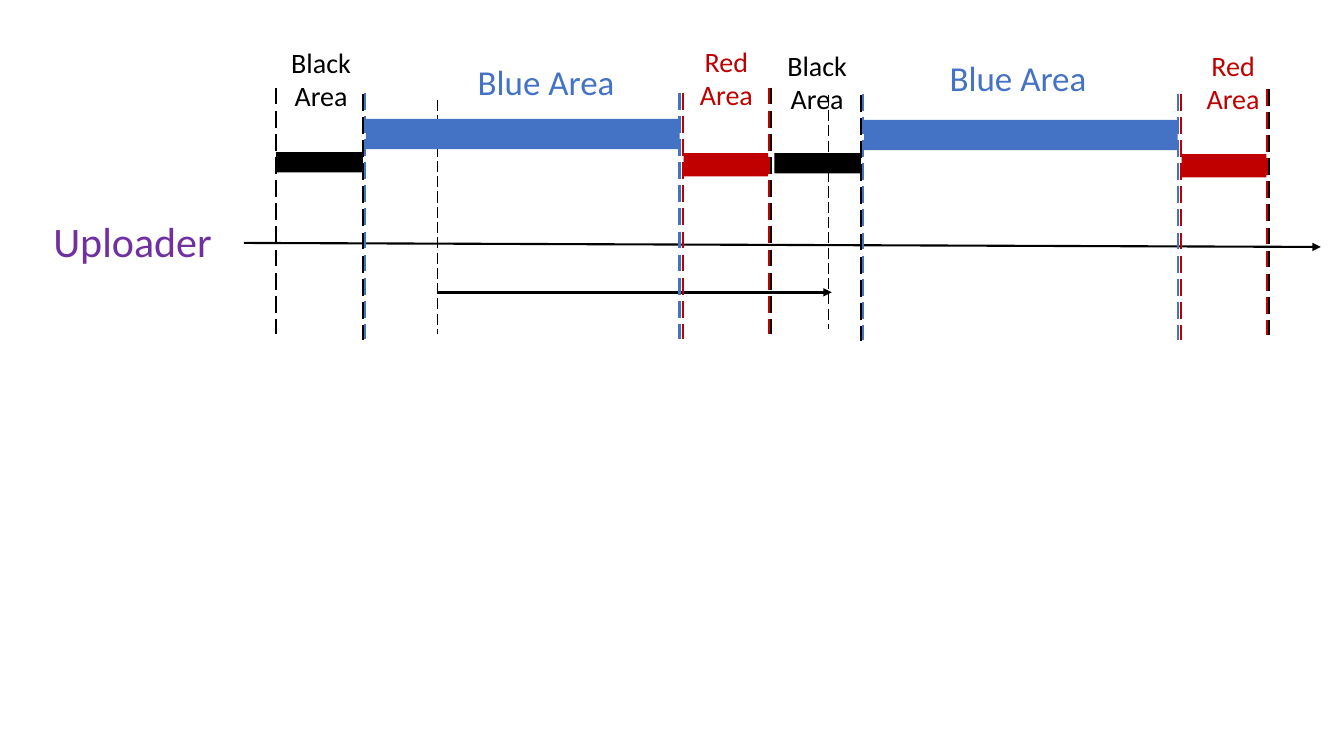
from pptx import Presentation
from pptx.dml.color import RGBColor as RGB
from pptx.enum.dml import MSO_LINE as Dash
from pptx.enum.shapes import MSO_CONNECTOR as Conn, MSO_SHAPE as Shape
from pptx.enum.text import PP_ALIGN as Align
from pptx.oxml.ns import qn
from pptx.util import Inches, Pt
from lxml.etree import SubElement as Sub

COLORS = {"black": "000000", "blue": "4472C4", "red": "C00000", "purple": "7030A0"}

deck = Presentation()
deck.slide_width, deck.slide_height = Inches(13.33), Inches(7.5)
slide = deck.slides.add_slide(deck.slide_layouts[6])
shapes = slide.shapes


def add_line(x1, y1, x2, y2, color="black", width=1.5, arrow=False):
    """Solid line with an arrowhead, or a dashed line without one."""
    line = shapes.add_connector(Conn.STRAIGHT, Inches(x1), Inches(y1), Inches(x2), Inches(y2))
    line.line.color.rgb = RGB.from_string(COLORS[color])
    line.line.width = Pt(width)
    if arrow:
        Sub(line.line._get_or_add_ln(), qn("a:tailEnd"), type="triangle")
    else:
        line.line.dash_style = Dash.LONG_DASH
    Sub(line._element.spPr, qn("a:effectLst"))


def add_label(text, x, y, w, h, size, color, align=Align.CENTER):
    box = shapes.add_textbox(Inches(x), Inches(y), Inches(w), Inches(h))
    box.text_frame.word_wrap = True
    para = box.text_frame.paragraphs[0]
    para.alignment = align
    run = para.add_run()
    run.text = text
    run.font.name = "Calibri"
    run.font.size = Pt(size)
    run.font.color.rgb = RGB.from_string(COLORS[color])


# Time axis and the span arrow below it
add_line(4.34, 2.9, 8.25, 2.9, width=2, arrow=True)
add_line(4.34, 0.99, 4.34, 3.31, width=1)
add_line(2.42, 2.41, 13.1, 2.45, arrow=True)

# Black lines where each cycle starts or ends
for x, y in [(2.74, 0.87), (7.65, 0.87), (12.59, 0.88)]:
    add_line(x, y, x, y + 2.44)

# Two cycles of area edges and bars
EDGES = [("blue", 3.62, 0.92), ("red", 6.77, 0.92), ("blue", 6.74, 0.92),
         ("red", 7.63, 0.87), ("black", 3.6, 0.93)]
BARS = [("black", 2.74, 1.51, 0.86, 0.2), ("blue", 3.63, 1.18, 3.11, 0.3),
        ("red", 6.78, 1.52, 0.84, 0.23)]
for dx, dy in [(0, 0), (4.94, 0.01)]:
    for color, x, y in EDGES:
        add_line(x + dx, y + dy, x + dx, y + dy + 2.44, color)
    for color, x, y, w, h in BARS:
        bar = shapes.add_shape(Shape.RECTANGLE, Inches(x + dx), Inches(y + dy),
                               Inches(w), Inches(h))
        bar.shadow.inherit = False
        bar.fill.solid()
        bar.fill.fore_color.rgb = RGB.from_string(COLORS[color])
        bar.line.fill.background()

# End of the span
add_line(8.22, 0.94, 8.22, 3.26, width=1)

# Labels
add_label("Uploader", 0.24, 2.09, 2.15, 0.68, 30, "purple")
for x, y, w, h in [(2.75, 0.4, 0.87, 1.01), (7.65, 0.43, 0.91, 1.01)]:
    add_label("Black Area", x, y, w, h, 20, "black")
for x, y, w, h in [(4.64, 0.55, 1.7, 0.68), (9.32, 0.51, 1.71, 0.59)]:
    add_label("Blue Area", x, y, w, h, 25, "blue", Align.LEFT)
for x, y, w, h in [(6.82, 0.39, 0.77, 1.01), (11.84, 0.43, 0.78, 0.87)]:
    add_label("Red Area", x, y, w, h, 20, "red")

deck.save("out.pptx")
